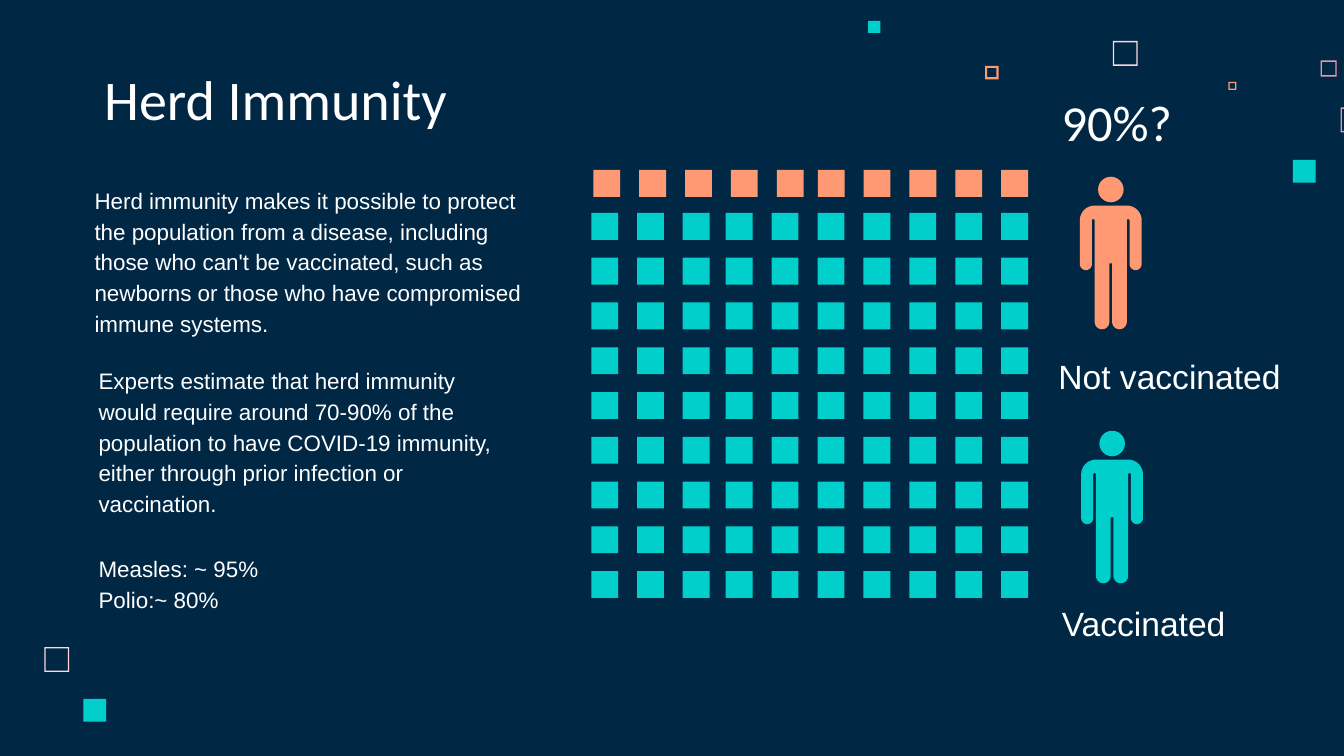
import math

from pptx import Presentation
from pptx.dml.color import RGBColor
from pptx.enum.shapes import MSO_SHAPE
from pptx.enum.text import MSO_ANCHOR, MSO_AUTO_SIZE, PP_ALIGN
from pptx.util import Pt

RECT, FRAME, OVAL = MSO_SHAPE.RECTANGLE, MSO_SHAPE.FRAME, MSO_SHAPE.OVAL
TOP, MIDDLE, BOTTOM = MSO_ANCHOR.TOP, MSO_ANCHOR.MIDDLE, MSO_ANCHOR.BOTTOM
FIXED, GROW = MSO_AUTO_SIZE.NONE, MSO_AUTO_SIZE.SHAPE_TO_FIT_TEXT
LEFT = PP_ALIGN.LEFT

PX = 4572  # 200 px to the inch
SLIDE_SIZE = (2000, 1125)
INSET = 20
COMPARISON_LAYOUT = 4  # title, plus text placeholders 1 and 3

NAVY, WHITE = "002845", "FFFFFF"
TEAL, ORANGE, PINK, ROSE = "00CFCC", "FF9973", "FFD6E1", "E898AC"

# Content: box (left, top, width, height) and wording
TITLE = ((135, 90, 1034, 126), "Herd Immunity")
QUESTION = ((1560, 138, 264, 86), "90%?")
LABELS = [  # placeholder number, box, wording
    (1, (1555, 500, 384, 126), "Not vaccinated"),
    (3, (1560, 868, 384, 126), "Vaccinated"),
]
NOTES = [
    ((121, 252, 680, 266), [
        "Herd immunity makes it possible to protect the population from a "
        "disease, including those who can't be vaccinated, such as newborns "
        "or those who have compromised immune systems."]),
    ((127, 520, 656, 266), [
        "Experts estimate that herd immunity would require around 70-90% of "
        "the population to have COVID-19 immunity, either through prior "
        "infection or vaccination."]),
    ((127, 800, 656, 128), ["Measles: ~ 95%", "Polio:~ 80%"]),
]

# Population of 100: runs of equal steps as (first, last, count)
SQUARE = 40
POPULATION = [  # colour, column runs, row run
    (ORANGE, [(883, 1156, 5), (1217, 1490, 5)], (253, 253, 1)),
    (TEAL, [(880, 1016, 3), (1080, 1490, 7)], (317, 850, 9)),
]
PEOPLE = [(1607, 263, ORANGE), (1609, 641, TEAL)]

# Scattered squares: left, top, size, border (0 = solid), colour
DECORATION = [
    (1656, 61, 37, 2, PINK), (1965, 90, 24, 2, ROSE), (1828, 122, 12, 2, ORANGE),
    (1995, 160, 37, 2, ROSE), (1924, 238, 34, 0, TEAL), (1466, 98, 20, 3, ORANGE),
    (1292, 31, 18, 0, TEAL), (66, 963, 37, 2, PINK), (124, 1040, 34, 0, TEAL),
]


def emu(*lengths):
    return [round(length * PX) for length in lengths]


def color(hex_string):
    return RGBColor.from_string(hex_string)


def paint(shape, fill):
    shape.fill.solid()
    shape.fill.fore_color.rgb = color(fill)
    shape.line.fill.background()
    shape.shadow.inherit = False


def add_preset(shapes, kind, box, fill):
    shape = shapes.add_shape(kind, *emu(*box))
    paint(shape, fill)
    return shape


def steps(first, last, count):
    pitch = (last - first) / max(count - 1, 1)
    return [first + pitch * i for i in range(count)]


def write(shape, box, paragraphs, size, font="Arial", anchor=TOP,
          auto_size=FIXED, line=1.0, after=0):
    shape.left, shape.top, shape.width, shape.height = emu(*box)
    frame = shape.text_frame
    frame.word_wrap = True
    frame.auto_size = auto_size
    frame.vertical_anchor = anchor
    frame.margin_left, frame.margin_top = emu(INSET, INSET)
    frame.margin_right, frame.margin_bottom = emu(INSET, INSET)
    for i, words in enumerate(paragraphs):
        paragraph = frame.add_paragraph() if i else frame.paragraphs[0]
        paragraph.alignment = LEFT
        paragraph.line_spacing = line
        paragraph.space_before, paragraph.space_after = Pt(0), Pt(after)
        run = paragraph.add_run()
        run.text = words
        run.font.size, run.font.name, run.font.bold = Pt(size), font, False
        run.font.color.rgb = color(WHITE)


def arc(cx, cy, radius, start, end):
    """Points along an arc; degrees run clockwise from the right."""
    angles = [math.radians(a) for a in steps(start, end, 13)]
    return [(cx + radius * math.cos(a), cy + radius * math.sin(a)) for a in angles]


def body_outline(width=92):
    right = (arc(70, 22, 22, -90, 0)      # shoulder
             + arc(83, 87, 9, 0, 180)     # hand
             + arc(72, 22, 2, 0, -180)    # armpit
             + arc(59, 173, 11, 0, 180)   # foot
             + [(48, 86)])                # inner leg
    return right + [(width - x, y) for x, y in reversed(right)]


def add_person(shapes, left, top, fill):
    person = shapes.add_group_shape().shapes
    add_preset(person, OVAL, (left + 27, top, 38, 38), fill)
    points = [emu(left + x, top + 43 + y) for x, y in body_outline()]
    builder = person.build_freeform(*points[0], scale=1.0)
    builder.add_line_segments(points[1:], close=True)
    paint(builder.convert_to_shape(), fill)


def main():
    deck = Presentation()
    deck.slide_width, deck.slide_height = emu(*SLIDE_SIZE)
    slide = deck.slides.add_slide(deck.slide_layouts[COMPARISON_LAYOUT])
    slide.background.fill.solid()
    slide.background.fill.fore_color.rgb = color(NAVY)
    shapes = slide.shapes

    # Scattered squares
    for left, top, size, border, fill in DECORATION:
        kind = FRAME if border else RECT
        square = add_preset(shapes, kind, (left, top, size, size), fill)
        if border:
            square.adjustments[0] = border / size

    # Title and labels
    box, words = TITLE
    write(shapes.title, box, [words], 30, "Calibri", BOTTOM)
    for number, box, words in LABELS:
        write(slide.placeholders[number], box, [words], 18, line=1.15, after=16)

    # Explanations and question
    for box, paragraphs in NOTES:
        write(shapes.add_textbox(*emu(*box)), box, paragraphs, 12,
              auto_size=GROW, line=1.15)
    box, words = QUESTION
    write(shapes.add_textbox(*emu(*box)), box, [words], 27, "Calibri", MIDDLE)

    # Population grid
    for fill, column_runs, row_run in POPULATION:
        columns = [left for run in column_runs for left in steps(*run)]
        for top in steps(*row_run):
            for left in columns:
                add_preset(shapes, RECT, (left, top, SQUARE, SQUARE), fill)

    # People of the key
    for left, top, fill in PEOPLE:
        add_person(shapes, left, top, fill)

    # Unused placeholders
    for placeholder in list(slide.placeholders):
        if not placeholder.text_frame.text:
            placeholder.element.getparent().remove(placeholder.element)

    deck.save("out.pptx")


if __name__ == "__main__":
    main()
